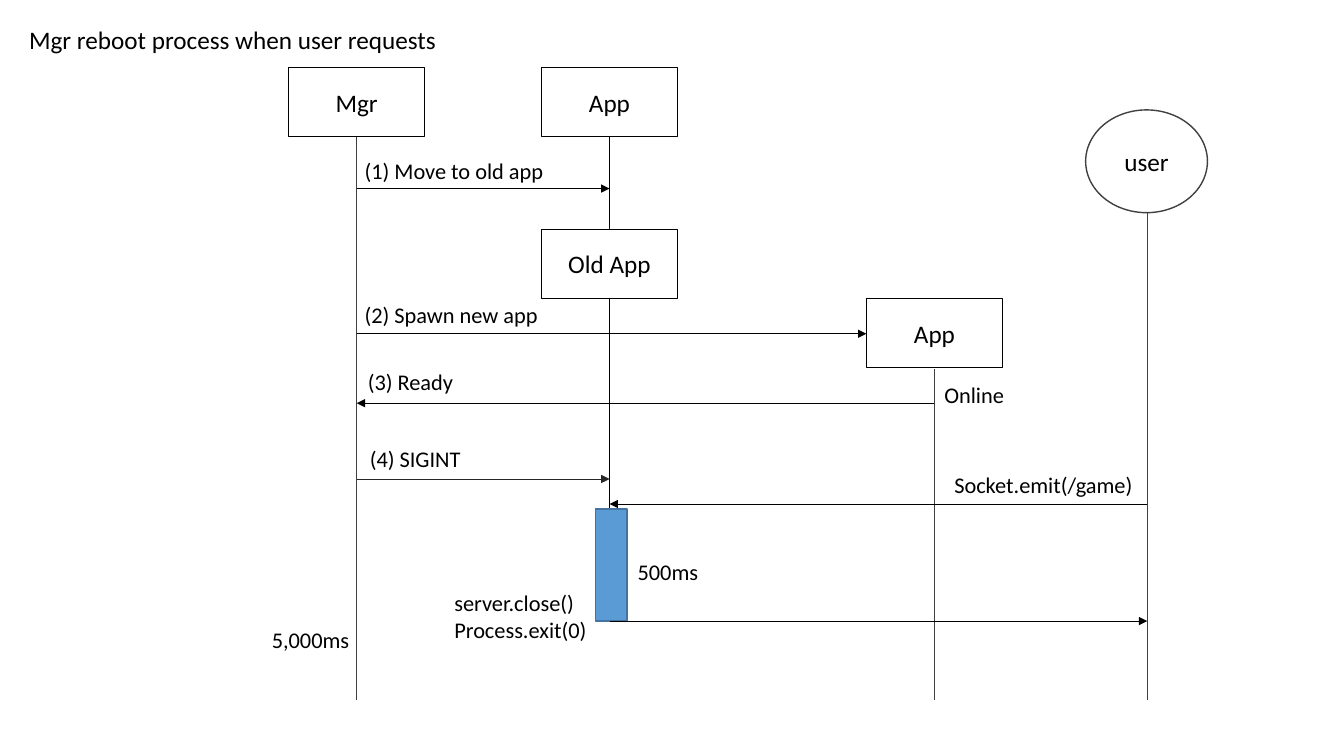
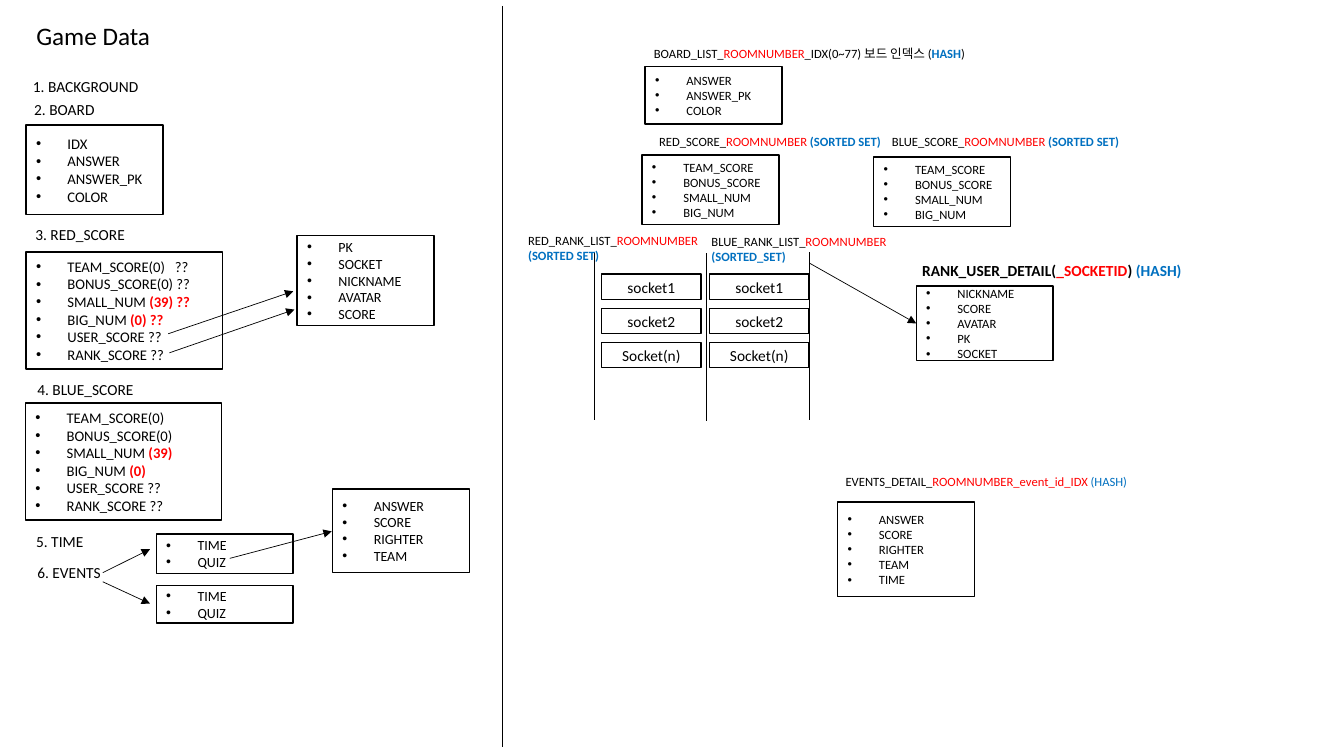
from lxml import etree
from pptx import Presentation
from pptx.dml.color import RGBColor
from pptx.enum.shapes import MSO_CONNECTOR, MSO_SHAPE
from pptx.enum.text import MSO_ANCHOR, MSO_AUTO_SIZE, PP_ALIGN
from pptx.oxml.ns import qn
from pptx.util import Cm, Pt

RECT, OVAL = MSO_SHAPE.RECTANGLE, MSO_SHAPE.OVAL
STRAIGHT = MSO_CONNECTOR.STRAIGHT
TOP, MIDDLE = MSO_ANCHOR.TOP, MSO_ANCHOR.MIDDLE
LEFT, CENTER = PP_ALIGN.LEFT, PP_ALIGN.CENTER
GROW, FIXED = MSO_AUTO_SIZE.SHAPE_TO_FIT_TEXT, MSO_AUTO_SIZE.NONE

FONT = "Calibri"
COLORS = {"ink": "000000", "paper": "FFFFFF", "red": "FF0000",
          "blue": "0070C0", "bar": "5B9BD5", "edge": "43739E",
          "life": "404040", "dark": "262626"}
# Run styles: colour and bold
STYLES = {"plain": ("ink", False), "bold": ("ink", True),
          "red": ("red", False), "redbold": ("red", True),
          "blue": ("blue", False), "bluebold": ("blue", True)}

# Reboot slide, lengths in cm
REBOOT = ("Mgr reboot process when user requests", 0.48, 0.48)
LANES = {"mgr": 8.99, "app": 15.36, "new": 23.55, "user": 28.91}
BOX_W, BOX_H = 3.43, 1.75
ACTORS = [("Mgr", "mgr", 1.7), ("App", "app", 1.7),
          ("Old App", "app", 5.77), ("App", "new", 7.52)]
USER = ("user", 27.36, 2.77, 3.07, 2.59)
LIVES = [("mgr", 3.45, 17.63, "life"), ("app", 3.45, 14.27, "ink"),
         ("new", 9.3, 17.63, "life"), ("user", 5.36, 17.63, "life")]
BAR = (15.01, 12.83, 0.79, 2.82)
# Messages: start lane, end lane, height, colour, stop short by
CALLS = [("mgr", "app", 4.75, "ink", 0),
         ("mgr", "new", 8.41, "ink", BOX_W / 2),
         ("new", "mgr", 10.16, "ink", 0),
         ("mgr", "app", 12.07, "dark", 0),
         ("user", "app", 12.7, "ink", 0),
         ("app", "user", 15.65, "ink", 0)]
NOTES = [(["(1) Move to old app"], 8.94, 3.84),
         (["(2) Spawn new app"], 8.94, 7.47),
         (["(3) Ready"], 9.02, 9.14),
         (["(4) SIGINT"], 9.07, 11.1),
         (["Online"], 23.55, 9.47),
         (["5,000ms"], 6.6, 15.65),
         (["server.close()", "Process.exit(0)"], 11.2, 14.73),
         (["500ms"], 15.82, 13.94),
         (["Socket.emit(/game)"], 23.8, 11.76)]

# Game data slide, lengths in cm
GAME = ("Game Data", 0.66, 0.38)
HEADS = [("1. BACKGROUND", 0.58, 1.83), ("2. BOARD", 0.61, 2.41),
         ("3. RED_SCORE", 0.64, 5.56), ("4. BLUE_SCORE", 0.69, 9.45),
         ("5. TIME", 0.66, 13.28), ("6. EVENTS", 0.69, 14.07)]
CARD = 3.45
TEAM = ["TEAM_SCORE", "BONUS_SCORE", "SMALL_NUM", "BIG_NUM"]
EVENT = ["ANSWER", "SCORE", "RIGHTER", "TEAM"]
PAIR = ["TIME", "QUIZ"]
RED = ["TEAM_SCORE(0)\t??", "BONUS_SCORE(0) ??",
       [("SMALL_NUM ", "plain"), ("(39) ??", "redbold")],
       [("BIG_NUM ", "plain"), ("(0) ??", "redbold")],
       "USER_SCORE ??", "RANK_SCORE ??"]
BLUE = ["TEAM_SCORE(0)", "BONUS_SCORE(0)",
        [("SMALL_NUM ", "plain"), ("(39)", "redbold")],
        [("BIG_NUM ", "plain"), ("(0)", "redbold")],
        "USER_SCORE ??", "RANK_SCORE ??"]
# Cards: items, left, top, width, height, text size
CARDS = [
    (["IDX", "ANSWER", "ANSWER_PK", "COLOR"], 0.66, 3.15, CARD, 2.26, 10.5),
    (RED, 0.66, 6.35, 4.95, 2.95, 10.5),
    (BLUE, 0.64, 10.16, 4.95, 2.95, 10.5),
    (["PK", "SOCKET", "NICKNAME", "AVATAR", "SCORE"],
     7.49, 5.94, CARD, 2.26, 10),
    (PAIR, 3.94, 13.46, CARD, 0.99, 10),
    (PAIR, 3.94, 14.76, CARD, 0.94, 10),
    (EVENT, 8.38, 12.32, CARD, 2.11, 10),
    (["ANSWER", "ANSWER_PK", "COLOR"], 16.26, 1.68, CARD, 1.45, 9),
    (TEAM, 16.18, 3.91, CARD, 1.75, 9),
    (TEAM, 22.02, 3.96, CARD, 1.75, 9),
    (["NICKNAME", "SCORE", "AVATAR", "PK", "SOCKET"],
     23.09, 7.21, CARD, 1.88, 9),
    (EVENT + ["TIME"], 21.11, 12.65, CARD, 2.39, 9)]
ROOM = ("ROOMNUMBER", "red")
ROOM_GAP = ("ROOMNUMBER ", "red")
SORTED = ("(SORTED SET)", "bluebold")
# Keys: lines, left, top, width, text size
KEYS = [
    ([[("BOARD_LIST_", "plain"), ROOM, ("_IDX(0~77) 보드 인덱스 (", "plain"),
       ("HASH", "bluebold"), (")", "plain")]], 16.23, 1.02, 11.6, 9),
    ([[("RED_SCORE_", "plain"), ROOM_GAP, SORTED]], 16.36, 3.25, 11.6, 9),
    ([[("BLUE_SCORE_", "plain"), ROOM_GAP, SORTED]], 22.23, 3.25, 11.6, 9),
    ([[("EVENTS_DETAIL_", "plain"), ("ROOMNUMBER_event_id_IDX ", "red"),
       ("(HASH)", "blue")]], 21.06, 11.81, 11.6, 9),
    ([[("RED_RANK_LIST_", "plain"), ROOM], [SORTED]], 13.06, 5.74, 5, 9),
    ([[("BLUE_RANK_LIST_", "plain"), ROOM], [("(SORTED_SET)", "bluebold")]],
     17.68, 5.77, 5, 9),
    ([[("RANK_USER_DETAIL(", "bold"), ("_SOCKETID", "redbold"),
       (") ", "bold"), ("(HASH)", "bluebold")]], 22.99, 6.45, 10.4, 11)]
RULES = [(12.67, 0.15, 18.82), (14.99, 6.35, 10.59),
         (17.81, 6.38, 10.62), (20.4, 6.35, 10.59)]
LINKS = [(4.24, 8.41, 7.39, 7.34), (4.27, 8.89, 7.42, 7.8),
         (2.59, 14.66, 3.78, 15.21), (2.59, 14.43, 3.78, 13.84),
         (5.79, 14.07, 8.36, 13.39), (20.4, 6.63, 23.09, 8.15)]
SOCKETS = ["socket1", "socket2", "Socket(n)"]
RANKS = [15.16, 17.88]
RANK_TOP, RANK_STEP, RANK_W, RANK_H = 6.91, 0.86, 2.51, 0.64


def tint(name):
    """Return a named colour."""
    return RGBColor.from_string(COLORS[name])


def write(frame, lines, size, align=LEFT, anchor=TOP):
    """Fill a text frame; a line is a string or a list of styled runs."""
    frame.word_wrap = True
    frame.vertical_anchor = anchor
    for i, line in enumerate(lines):
        para = frame.paragraphs[0] if i == 0 else frame.add_paragraph()
        para.alignment = align
        parts = [(line, "plain")] if isinstance(line, str) else line
        for text, style in parts:
            run = para.add_run()
            run.text = text
            color, bold = STYLES[style]
            run.font.name, run.font.size = FONT, Pt(size)
            run.font.bold, run.font.color.rgb = bold, tint(color)


def bullet(para):
    """Give a paragraph a hanging bullet and a tab stop."""
    props = para._p.get_or_add_pPr()
    props.set("marL", str(Cm(0.79)))
    props.set("indent", str(-Cm(0.79)))
    etree.SubElement(props, qn("a:buFont"), typeface="Arial")
    etree.SubElement(props, qn("a:buChar"), char="•")
    tabs = etree.SubElement(props, qn("a:tabLst"))
    etree.SubElement(tabs, qn("a:tab"), pos=str(Cm(3.5)), algn="l")


def start(deck, text, x, y):
    """Add a slide with its title."""
    slide = deck.slides.add_slide(deck.slide_layouts[5])
    title = slide.shapes.title
    title.left, title.top = Cm(x), Cm(y)
    title.width, title.height = Cm(11.3), Cm(1.02)
    title.text_frame.auto_size = FIXED
    write(title.text_frame, [text], 18)
    return slide


def label(slide, lines, x, y, w, size):
    """Add a text box that grows with its lines."""
    box = slide.shapes.add_textbox(Cm(x), Cm(y), Cm(w), Cm(1))
    write(box.text_frame, lines, size)
    box.text_frame.auto_size = GROW


def block(slide, x, y, w, h, kind=RECT, fill="paper", edge="ink", width=1):
    """Add a filled, outlined shape."""
    shape = slide.shapes.add_shape(kind, Cm(x), Cm(y), Cm(w), Cm(h))
    shape.shadow.inherit = False
    shape.fill.solid()
    shape.fill.fore_color.rgb = tint(fill)
    shape.line.color.rgb = tint(edge)
    shape.line.width = Pt(width)
    return shape


def line(slide, x1, y1, x2, y2, color="ink", arrow=False):
    """Draw a thin line, with an arrowhead at its end if asked."""
    link = slide.shapes.add_connector(STRAIGHT, Cm(x1), Cm(y1),
                                      Cm(x2), Cm(y2))
    link.line.color.rgb = tint(color)
    link.line.width = Pt(0.5)
    if arrow:
        etree.SubElement(link.line._get_or_add_ln(), qn("a:tailEnd"),
                         type="triangle")
    etree.SubElement(link._element.spPr, qn("a:effectLst"))


def reboot(deck):
    """Build the sequence diagram."""
    slide = start(deck, *REBOOT)
    for lane, top, end, color in LIVES:
        line(slide, LANES[lane], top, LANES[lane], end, color)
    for name, lane, top in ACTORS:
        box = block(slide, LANES[lane] - BOX_W / 2, top, BOX_W, BOX_H,
                    width=0.5)
        write(box.text_frame, [name], 18, CENTER, MIDDLE)
    name, *place = USER
    oval = block(slide, *place, kind=OVAL, edge="life")
    write(oval.text_frame, [name], 18, CENTER, MIDDLE)
    block(slide, *BAR, fill="bar", edge="edge")
    for source, target, y, color, short in CALLS:
        line(slide, LANES[source], y, LANES[target] - short, y, color, True)
    for lines, x, y in NOTES:
        label(slide, lines, x, y, 6.38, 16)


def game(deck):
    """Build the data model overview."""
    slide = start(deck, *GAME)
    for text, x, y in HEADS:
        label(slide, [text], x, y, 3.5, 11)
    for items, x, y, w, h, size in CARDS:
        frame = block(slide, x, y, w, h).text_frame
        write(frame, items, size, anchor=MIDDLE)
        for para in frame.paragraphs:
            bullet(para)
    for x, top, end in RULES:
        line(slide, x, top, x, end)
    for key in KEYS:
        label(slide, *key)
    for x in RANKS:
        for i, name in enumerate(SOCKETS):
            cell = block(slide, x, RANK_TOP + i * RANK_STEP, RANK_W, RANK_H)
            write(cell.text_frame, [name], 11, CENTER, MIDDLE)
    for ends in LINKS:
        line(slide, *ends, arrow=True)


deck = Presentation()
deck.slide_width, deck.slide_height = Cm(33.87), Cm(19.05)
reboot(deck)
game(deck)
deck.save("out.pptx")
